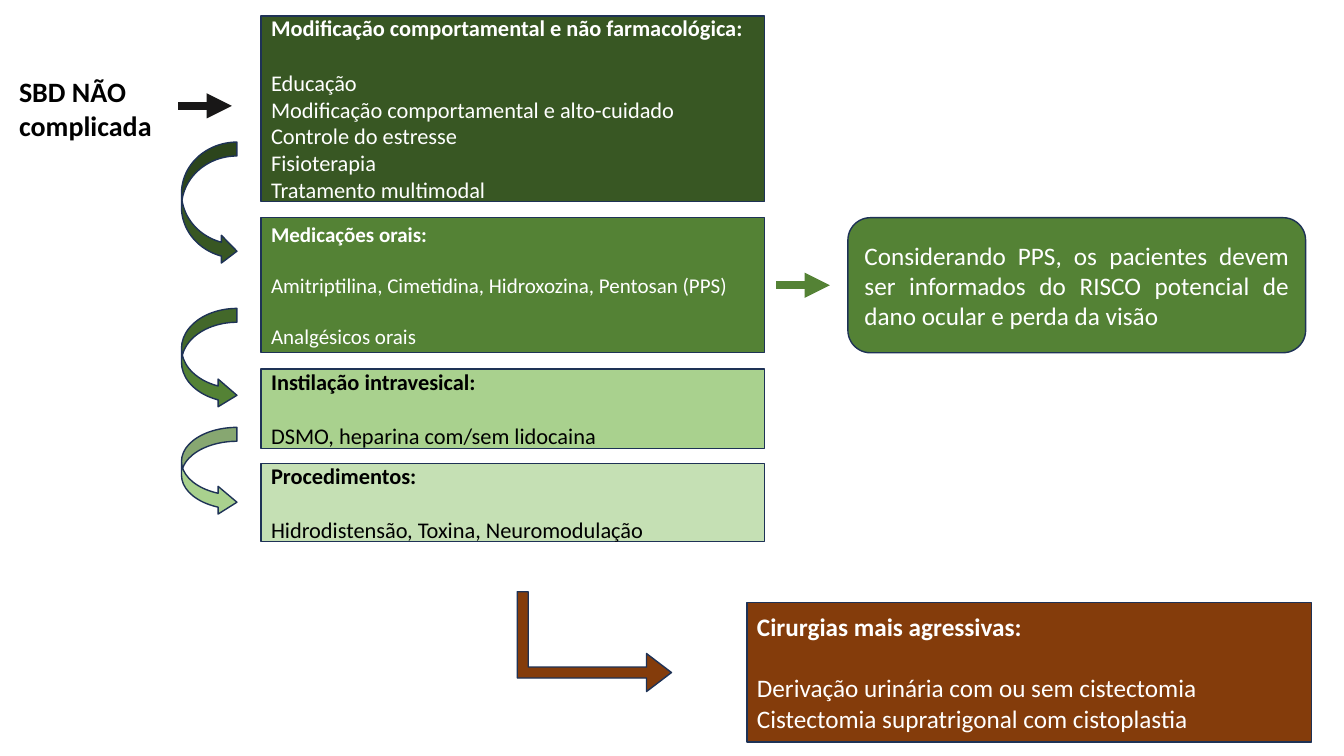
from lxml.etree import SubElement
from pptx import Presentation
from pptx.dml.color import RGBColor
from pptx.enum.shapes import MSO_CONNECTOR, MSO_SHAPE
from pptx.enum.text import MSO_ANCHOR, PP_ALIGN
from pptx.oxml.ns import qn
from pptx.util import Pt

PX = 9144
FONT = "Calibri"
LINE_HEIGHT = 1.22
COLORS = {
    "behavior": "385723",
    "oral": "548235",
    "instillation": "A9D18E",
    "procedure": "C5E0B4",
    "surgery": "843C0B",
    "outline": "1E3256",
    "entry": "181717",
    "white": "FFFFFF",
    "black": "000000",
}
STEP_LEFT, STEP_WIDTH = 259, 499
CURVE_LEFT, CURVE_WIDTH = 180, 55


def rgb(name):
    """Return the named colour."""
    return RGBColor.from_string(COLORS[name])


def write(p, text, size=16, color="white", bold=False, align=PP_ALIGN.LEFT, before=0):
    """Put formatted text in a paragraph."""
    p.alignment = align
    p.space_before = Pt(before)
    r = p.add_run()
    r.text = text
    r.font.name = FONT
    r.font.size = Pt(size)
    r.font.bold = bold
    r.font.color.rgb = rgb(color)


class Flowchart:
    """Draw styled flowchart elements on one slide."""

    def __init__(self, s):
        """Keep the slide to draw on."""
        self.s = s

    def shape(self, kind, box, fill, adjustments=(), rotation=0):
        """Add an outlined preset shape."""
        sp = self.s.shapes.add_shape(kind, *(v * PX for v in box))
        sp.shadow.inherit = False
        sp.fill.solid()
        sp.fill.fore_color.rgb = rgb(fill)
        sp.line.color.rgb = rgb("outline")
        sp.line.width = Pt(1)
        sp.rotation = rotation
        for i, value in enumerate(adjustments):
            sp.adjustments[i] = value
        return sp

    def label(self, box, text, **style):
        """Add a wrapping text box."""
        tf = self.s.shapes.add_textbox(*(v * PX for v in box)).text_frame
        tf.word_wrap = True
        write(tf.paragraphs[0], text, **style)

    def step(self, box, fill, heading, lines, size=16, color="white", gaps=(0,)):
        """Add a box with a bold heading and spaced lines."""
        tf = self.shape(MSO_SHAPE.RECTANGLE, box, fill).text_frame
        tf.vertical_anchor = MSO_ANCHOR.MIDDLE
        write(tf.paragraphs[0], heading, size=size, color=color, bold=True)
        for i, text in enumerate(lines):
            before = size * LINE_HEIGHT if i in gaps else 0
            write(tf.add_paragraph(), text, size=size, color=color, before=before)

    def note(self, box, fill, text):
        """Add a rounded box with justified text."""
        tf = self.shape(MSO_SHAPE.ROUNDED_RECTANGLE, box, fill).text_frame
        tf.vertical_anchor = MSO_ANCHOR.MIDDLE
        write(tf.paragraphs[0], text, size=18, align=PP_ALIGN.JUSTIFY)

    def arrow(self, left, y, color, length=53):
        """Add a thick horizontal arrow."""
        c = self.s.shapes.add_connector(
            MSO_CONNECTOR.STRAIGHT, left * PX, y * PX, (left + length) * PX, y * PX)
        c.line.color.rgb = rgb(color)
        c.line.width = Pt(6)
        SubElement(c.line._get_or_add_ln(), qn("a:tailEnd"), type="triangle")
        SubElement(c._element.spPr, qn("a:effectLst"))


def main():
    """Build and save the treatment flowchart."""
    prs = Presentation()
    prs.slide_width, prs.slide_height = 1333 * PX, 750 * PX
    chart = Flowchart(prs.slides.add_slide(prs.slide_layouts[6]))

    chart.label((9, 69, 248, 77), "SBD NÃO complicada", size=20, color="black", bold=True)

    steps = [
        (16, 184, "behavior", "Modificação comportamental e não farmacológica:",
         ["Educação", "Modificação comportamental e alto-cuidado",
          "Controle do estresse", "Fisioterapia", "Tratamento multimodal"], {}),
        (216, 134, "oral", "Medicações orais:",
         ["Amitriptilina, Cimetidina, Hidroxozina, Pentosan (PPS)", "Analgésicos orais"],
         {"size": 15, "gaps": (0, 1)}),
        (366, 79, "instillation", "Instilação intravesical:",
         ["DSMO, heparina com/sem lidocaina"], {"color": "black"}),
        (460, 77, "procedure", "Procedimentos:",
         ["Hidrodistensão, Toxina, Neuromodulação"], {"color": "black"}),
    ]
    for top, height, fill, heading, lines, style in steps:
        chart.step((STEP_LEFT, top, STEP_WIDTH, height), fill, heading, lines, **style)

    chart.step((741, 598, 560, 138), "surgery", "Cirurgias mais agressivas:",
               ["Derivação urinária com ou sem cistectomia",
                "Cistectomia supratrigonal com cistoplastia"], size=18)
    chart.note((841, 216, 454, 134), "oral",
               "Considerando PPS, os pacientes devem ser informados do RISCO "
               "potencial de dano ocular e perda da visão")

    chart.arrow(177, 105, "entry")
    chart.arrow(770, 283, "oral")
    for top, height, fill, head in [(141, 122, "behavior", 0.28),
                                    (306, 100, "oral", 0.34),
                                    (424, 88, "instillation", 0.34)]:
        chart.shape(MSO_SHAPE.CURVED_RIGHT_ARROW, (CURVE_LEFT, top, CURVE_WIDTH, height),
                    fill, (0.25, 0.5, head))
    chart.shape(MSO_SHAPE.BENT_UP_ARROW, (540, 560, 99, 153), "surgery",
                (0.11, 0.19, 0.25), rotation=90)

    prs.save("out.pptx")


if __name__ == "__main__":
    main()
